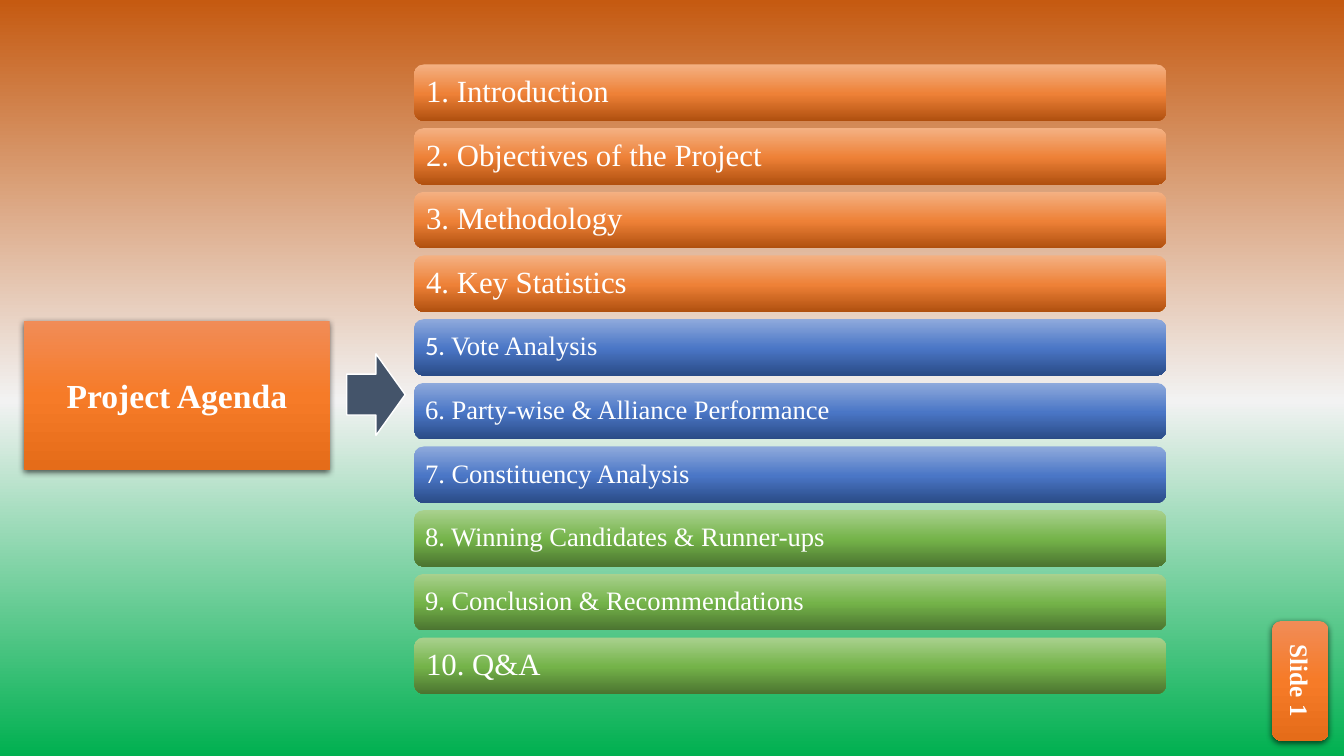
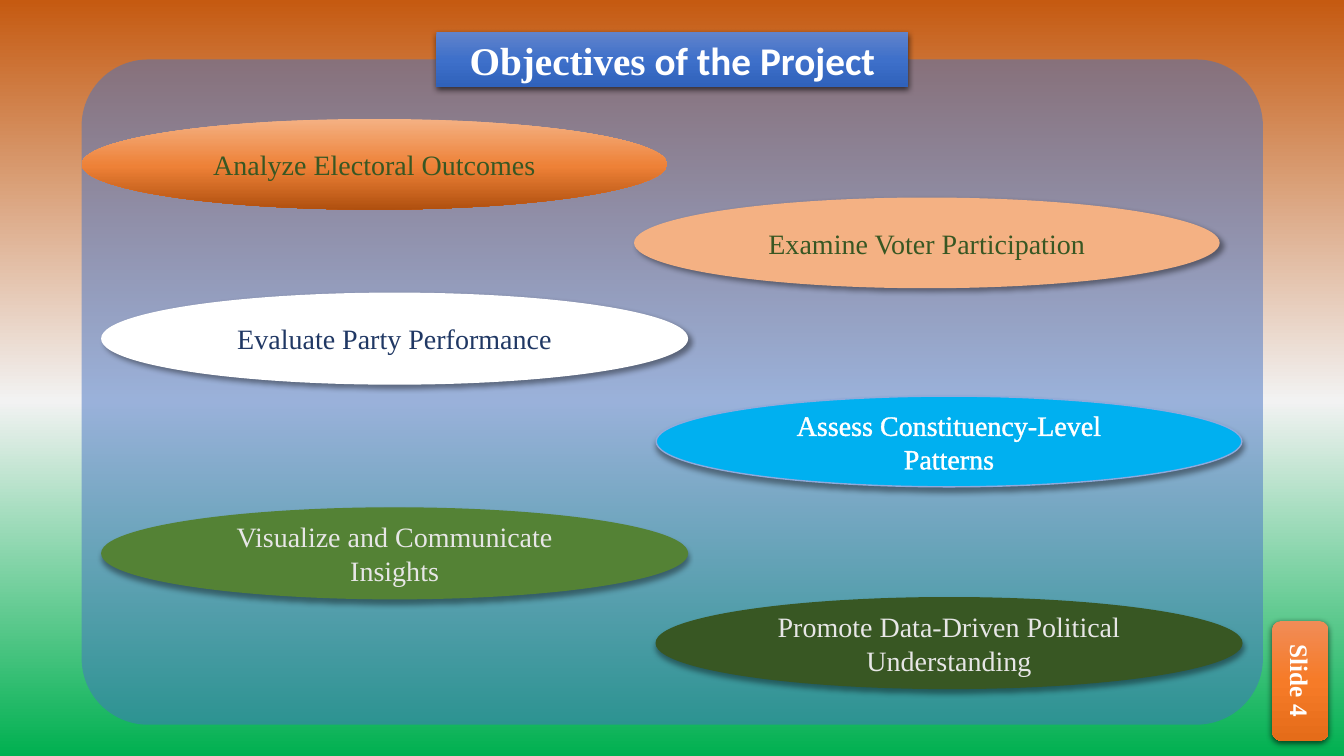
from pptx import Presentation
from pptx import util as u
from pptx.dml.color import RGBColor
from pptx.enum import shapes, text
from pptx.oxml.ns import qn
from lxml import etree

COLUMNS, ROWS = 160, 90
CELL = u.Inches(13.333) / COLUMNS
SERIF, SANS = "Times New Roman", "Calibri"
WHITE, PALE, FOREST, NAVY = "FFFFFF", "E7E6E6", "385723", "203864"
BACKDROP = [(0, "C55A11"), (53, "F2F2F2"), (100, "00B050")]
ORANGE_CARD = [(0, "F18C57"), (50, "F67B28"), (100, "E56C19")]
BLUE_CARD = [(0, "6183CB"), (50, "3E70CA"), (100, "3062BB")]
ORANGE_BAR = [(0, "F4B183"), (52, "EE8137"), (100, "B0500F")]
BLUE_BAR = [(0, "8FAADC"), (52, "4A76C6"), (100, "2A4B86")]
GREEN_BAR = [(0, "A9D18E"), (52, "74B349"), (100, "4B7430")]
CARD_SHADOW = (63, 4.5, 1.5, 90)
DOWN_SHADOW, DIAGONAL_SHADOW = (40, 4, 3, 90), (40, 4, 3, 45)
SHAPE = shapes.MSO_SHAPE

AGENDA = [
    ("1. Introduction", ORANGE_BAR, 22),
    ("2. Objectives of the Project", ORANGE_BAR, 22),
    ("3. Methodology", ORANGE_BAR, 22),
    ("4. Key Statistics", ORANGE_BAR, 22),
    ([("5. ", SANS), ("Vote Analysis", SERIF)], BLUE_BAR, 19),
    ("6. Party-wise & Alliance Performance", BLUE_BAR, 19),
    ("7. Constituency Analysis", BLUE_BAR, 19),
    ("8. Winning Candidates & Runner-ups", GREEN_BAR, 19),
    ("9. Conclusion & Recommendations", GREEN_BAR, 19),
    ("10. Q&A", GREEN_BAR, 22),
]

OBJECTIVES = [
    ("Analyze Electoral Outcomes", 9.72, 14.16, FOREST,
     dict(fill=ORANGE_BAR)),
    ("Examine Voter Participation", 75.48, 23.52, FOREST,
     dict(fill="F4B183", shadow=DIAGONAL_SHADOW)),
    ("Evaluate Party Performance", 12.12, 34.92, NAVY,
     dict(fill=WHITE, line=WHITE, shadow=DIAGONAL_SHADOW)),
    ("Assess Constituency-Level Patterns", 78.12, 47.16, WHITE,
     dict(fill="00B0F0", line="8FAADC", shadow=DOWN_SHADOW)),
    ("Visualize and Communicate Insights", 12.12, 60.48, PALE,
     dict(fill="548235", line="548235", shadow=DOWN_SHADOW)),
    ("Promote Data-Driven Political Understanding", 78.12, 71.16, PALE,
     dict(fill=FOREST, line=FOREST, shadow=DOWN_SHADOW)),
]


def rgb(value):
    """Turn a hex string into a colour."""
    return RGBColor.from_string(value)


def add_color(parent, value, alpha=None):
    """Append a colour element, with opacity in percent if given."""
    color = etree.SubElement(parent, qn("a:srgbClr"), val=value)
    if alpha is not None:
        etree.SubElement(color, qn("a:alpha"), val=str(alpha * 1000))


def paint_gradient(element, fill, stops):
    """Fill from top to bottom through the given stops."""
    fill.gradient()
    fill.gradient_angle = 270
    stop_list = element.find(".//" + qn("a:gsLst"))
    stop_list[:] = []
    for position, value in stops:
        stop = etree.SubElement(stop_list, qn("a:gs"), pos=str(position * 1000))
        add_color(stop, value)


def place(box, left, top, width, height):
    """Set a box on the grid of columns and rows."""
    box.left, box.top = round(left * CELL), round(top * CELL)
    box.width, box.height = round(width * CELL), round(height * CELL)


def style(box, fill, line=None, shadow=None, alpha=None):
    """Give a box its fill, outline and shadow."""
    if isinstance(fill, list):
        paint_gradient(box._element, box.fill, fill)
    else:
        box.fill.solid()
        box.fill.fore_color.rgb = rgb(fill)
    if alpha is not None:
        color = box._element.spPr.find(qn("a:solidFill"))[0]
        etree.SubElement(color, qn("a:alpha"), val=str(alpha * 1000))
    if line:
        box.line.color.rgb = rgb(line)
        box.line.width = u.Pt(1)
    else:
        box.line.fill.background()
    box.shadow.inherit = False
    if shadow:
        opacity, blur, distance, angle = shadow
        effects = box._element.spPr.find(qn("a:effectLst"))
        outer = etree.SubElement(
            effects, qn("a:outerShdw"), blurRad=str(u.Pt(blur)),
            dist=str(u.Pt(distance)), dir=str(angle * 60000),
            algn="ctr", rotWithShape="0")
        add_color(outer, "000000", opacity)


def add_box(page, kind, area, **look):
    """Add a styled preset shape on the grid."""
    box = page.shapes.add_shape(kind, 0, 0, 0, 0)
    place(box, *area)
    style(box, **look)
    return box


def write(box, words, size=20, color=WHITE, bold=False, outline=None,
          align=text.PP_ALIGN.CENTER):
    """Write one paragraph from a string or (words, font) pairs."""
    frame = box.text_frame
    frame.word_wrap = True
    frame.auto_size = text.MSO_AUTO_SIZE.NONE
    frame.vertical_anchor = text.MSO_ANCHOR.MIDDLE
    para = frame.paragraphs[0]
    para.alignment = align
    for words_part, font in [(words, SERIF)] if isinstance(words, str) else words:
        span = para.add_run()
        span.text = words_part
        span.font.name, span.font.size = font, u.Pt(size)
        span.font.bold = bold
        span.font.color.rgb = rgb(color)
        if outline:
            line = etree.Element(qn("a:ln"), w=str(u.Pt(0.75)))
            add_color(etree.SubElement(line, qn("a:solidFill")), outline)
            span.font._element.insert(0, line)


def add_title(page, words, area, fill, size):
    """Turn the title placeholder into a rounded card."""
    title = page.shapes.title
    place(title, *area)
    geometry = etree.SubElement(title._element.spPr, qn("a:prstGeom"),
                                prst="roundRect")
    etree.SubElement(geometry, qn("a:avLst"))
    style(title, fill, shadow=CARD_SHADOW)
    write(title, words, size=size, bold=True)


def add_slide_tag(page, number):
    """Add the upright slide label at the lower right."""
    tag = add_box(page, SHAPE.ROUNDED_RECTANGLE, (151.44, 73.92, 6.72, 14.28),
                  fill=ORANGE_CARD, shadow=CARD_SHADOW)
    write(tag, f"Slide {number}", size=18, bold=True)
    tag.text_frame._txBody.bodyPr.set("vert", "vert")


def add_agenda_bar(page, row, words, fill, size):
    """Add one agenda bar in its row."""
    bar = add_box(page, SHAPE.ROUNDED_RECTANGLE,
                  (49.32, 7.68 + row * 7.58, 89.52, 6.72), fill=fill)
    write(bar, words, size=size, align=text.PP_ALIGN.LEFT)
    frame = bar.text_frame
    frame.margin_left = u.Inches(0.09 if size > 20 else 0.08)
    frame.margin_top = frame.margin_bottom = 0
    frame.paragraphs[0].line_spacing = 0.9


def build_agenda(page):
    """Build the agenda slide."""
    add_title(page, "Project Agenda", (2.88, 38.16, 36.36, 17.76),
              ORANGE_CARD, 24)
    for row, item in enumerate(AGENDA):
        add_agenda_bar(page, row, *item)
    add_box(page, SHAPE.RIGHT_ARROW, (41.28, 42.12, 6.96, 9.72),
            fill="44546A", line=WHITE)
    add_slide_tag(page, 1)


def build_objectives(page):
    """Build the objectives slide."""
    panel = add_box(page, SHAPE.ROUNDED_RECTANGLE, (9.72, 7.08, 140.64, 79.2),
                    fill="4472C4", alpha=50)
    panel.adjustments[0] = 0.1
    page.shapes._spTree.insert(2, panel._element)
    add_title(page, [("Objectives", SERIF), (" of the Project", SANS)],
              (51.96, 3.84, 56.16, 6.48), BLUE_CARD, 28)
    for words, left, top, color, look in OBJECTIVES:
        oval = add_box(page, SHAPE.OVAL, (left, top, 69.72, 10.8), **look)
        write(oval, words, color=color,
              outline=WHITE if color == WHITE else None)
    add_slide_tag(page, 4)


def main():
    """Build and save the deck."""
    deck = Presentation()
    deck.slide_width = round(COLUMNS * CELL)
    deck.slide_height = round(ROWS * CELL)
    master = deck.slide_master
    paint_gradient(master._element, master.background.fill, BACKDROP)
    for build in (build_agenda, build_objectives):
        build(deck.slides.add_slide(deck.slide_layouts.get_by_name("Title Only")))
    deck.save("out.pptx")


if __name__ == "__main__":
    main()
